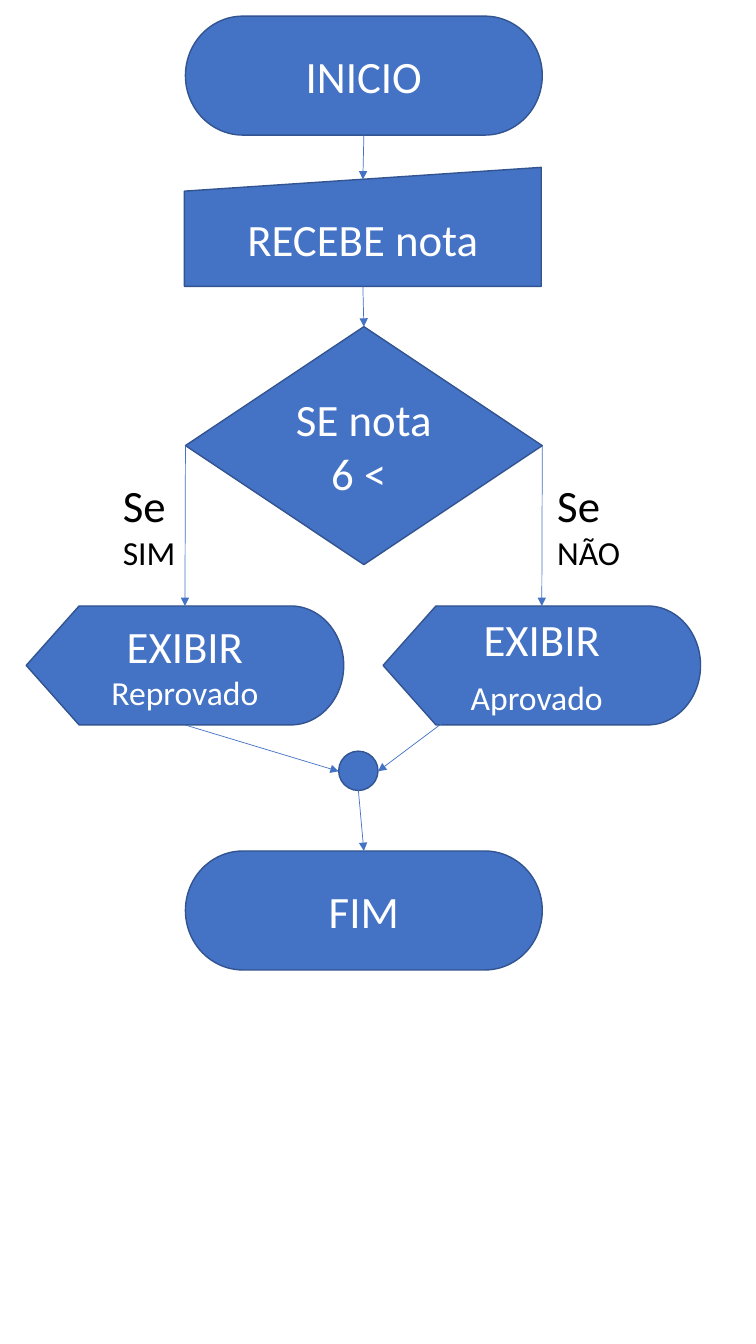
from lxml.etree import SubElement
from pptx import Presentation
from pptx.dml.color import RGBColor
from pptx.enum.shapes import MSO_CONNECTOR, MSO_SHAPE as Preset
from pptx.enum.text import MSO_ANCHOR, MSO_AUTO_SIZE, PP_ALIGN
from pptx.oxml.ns import qn
from pptx.util import Inches, Pt

BLUE = RGBColor(0x44, 0x72, 0xC4)
DARK_BLUE = RGBColor(0x32, 0x54, 0x91)
WHITE = RGBColor(0xFF, 0xFF, 0xFF)
BLACK = RGBColor(0x00, 0x00, 0x00)
TOP, LEFT, BOTTOM, RIGHT = range(4)

deck = Presentation()
deck.slide_width, deck.slide_height = Inches(7.5), Inches(13.33)
page = deck.slides.add_slide(deck.slide_layouts[6])


def write_text(box, lines, color=WHITE, align=PP_ALIGN.CENTER, anchor=MSO_ANCHOR.MIDDLE, wrap=True):
    """Fill a box with lines, each a list of (text, point size) spans."""
    frame = box.text_frame
    frame.word_wrap = wrap
    frame.vertical_anchor = anchor
    for index, line in enumerate(lines):
        para = frame.paragraphs[0] if index == 0 else frame.add_paragraph()
        para.alignment = align
        for text, size in line:
            span = para.add_run()
            span.text = text
            span.font.name = "Calibri"
            span.font.size = Pt(size)
            span.font.color.rgb = color


def add_arrow(start, end, source=None, target=None):
    """Draw an arrow; source and target are (shape, side) pairs to join."""
    arrow = page.shapes.add_connector(MSO_CONNECTOR.STRAIGHT, *map(Inches, start + end))
    if source:
        arrow.begin_connect(*source)
    if target:
        arrow.end_connect(*target)
    arrow.line.color.rgb = BLUE
    arrow.line.width = Pt(0.5)
    SubElement(arrow.line._get_or_add_ln(), qn("a:tailEnd"), type="triangle")
    SubElement(arrow._element.spPr, qn("a:effectLst"))


STEPS = {
    "start": (Preset.FLOWCHART_TERMINATOR, 1.84, 0.16, 3.54, 1.18, [[("INICIO", 32)]]),
    "input": (Preset.FLOWCHART_MANUAL_INPUT, 1.83, 1.66, 3.54, 1.18, [[("RECEBE nota", 32)]]),
    "decision": (Preset.FLOWCHART_DECISION, 1.84, 3.24, 3.54, 2.36,
                 [[("SE nota", 32)], [("6 < ", 32)]]),
    "failed": (Preset.FLOWCHART_DISPLAY, 0.26, 6.01, 3.15, 1.18,
               [[("EXIBIR", 32)], [("Reprovado", 24)]]),
    "passed": (Preset.FLOWCHART_DISPLAY, 3.8, 6.01, 3.15, 1.18,
               [[("EXIBIR", 32)], [("Aprovado", 24), (" ", 32)]]),
    "junction": (Preset.FLOWCHART_CONNECTOR, 3.36, 7.45, 0.39, 0.39, []),
    "end": (Preset.FLOWCHART_TERMINATOR, 1.84, 8.44, 3.54, 1.18, [[("FIM", 32)]]),
}
steps = {}
for name, (preset, left, top, width, height, lines) in STEPS.items():
    step = page.shapes.add_shape(preset, *map(Inches, (left, top, width, height)))
    step.shadow.inherit = False
    step.fill.solid()
    step.fill.fore_color.rgb = BLUE
    step.line.color.rgb = DARK_BLUE
    step.line.width = Pt(1)
    write_text(step, lines)
    if name in ("start", "input", "end"):
        step.text_frame.margin_left = step.text_frame.margin_right = Inches(0.18)
        step.text_frame.margin_top = step.text_frame.margin_bottom = Inches(0.09)
    steps[name] = step

for answer, left, width in (("SIM", 1.12, 0.73), ("NÃO", 5.43, 0.83)):
    label = page.shapes.add_textbox(*map(Inches, (left, 4.69, width, 1.04)))
    write_text(label, [[("Se", 32)], [(answer, 24)]], color=BLACK,
               align=PP_ALIGN.LEFT, anchor=MSO_ANCHOR.TOP, wrap=False)
    label.text_frame.auto_size = MSO_AUTO_SIZE.SHAPE_TO_FIT_TEXT

add_arrow((3.61, 1.34), (3.6, 1.78), source=(steps["start"], BOTTOM))
add_arrow((3.6, 2.84), (3.61, 3.24), (steps["input"], BOTTOM), (steps["decision"], TOP))
add_arrow((1.84, 4.42), (1.83, 6.01), (steps["decision"], LEFT), (steps["failed"], TOP))
add_arrow((5.38, 4.42), (5.38, 6.01), (steps["decision"], RIGHT), (steps["passed"], TOP))
add_arrow((1.83, 7.19), (3.36, 7.65), source=(steps["failed"], BOTTOM))
add_arrow((4.43, 7.14), (3.75, 7.65))
add_arrow((3.55, 7.78), (3.6, 8.44), target=(steps["end"], TOP))

deck.save("out.pptx")
